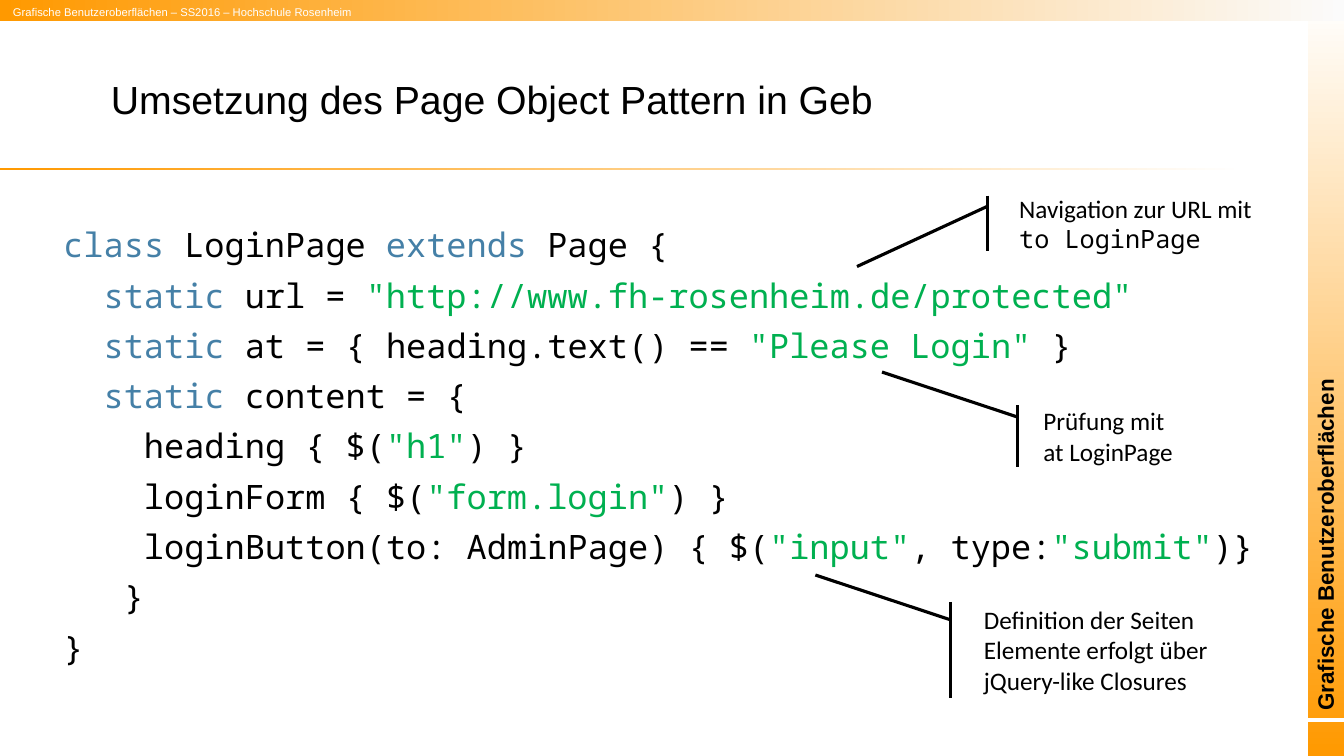
from dataclasses import dataclass

from lxml import etree
from pptx import Presentation
from pptx.dml.color import RGBColor
from pptx.enum.shapes import MSO_CONNECTOR, MSO_SHAPE
from pptx.enum.text import MSO_ANCHOR, MSO_AUTO_SIZE, PP_ALIGN
from pptx.oxml.ns import qn
from pptx.util import Inches, Pt

RECTANGLE = MSO_SHAPE.RECTANGLE
ACCENT_CALLOUT = MSO_SHAPE.LINE_CALLOUT_1_ACCENT_BAR
STRAIGHT = MSO_CONNECTOR.STRAIGHT
LEFT = PP_ALIGN.LEFT
MIDDLE = MSO_ANCHOR.MIDDLE
NO_FIT = MSO_AUTO_SIZE.NONE

SANS, BODY, MONO = "Arial", "Calibri", "Noto Sans Mono"
BLACK, WHITE, ORANGE = "000000", "FFFFFF", "FF9900"
KEYWORD, STRING = "4580A7", "00B050"
CODE_COLUMN = 0.2  # width of one character of code


@dataclass
class GradientBar:
    at: tuple[float, float, float, float]
    start: str
    end: str
    angle: int


@dataclass
class CodeLine:
    column: int
    spans: list[tuple[str, str]]


@dataclass
class Callout:
    at: tuple[float, float, float, float]
    tip: tuple[float, float]  # y and x as shares of height and width
    lines: list[list[tuple[str, str]]]


BARS = [
    GradientBar((12.97, 0, 0.37, 7.5), WHITE, ORANGE, 270),
    GradientBar((0, 0, 13.33, 0.21), ORANGE, "FBFBFB", 0),
    GradientBar((0, 1.67, 12.34, 0.02), ORANGE, WHITE, 0),
]

CODE = [
    CodeLine(0, [("class ", KEYWORD), ("LoginPage ", BLACK),
                 ("extends ", KEYWORD), ("Page {", BLACK)]),
    CodeLine(2, [("static ", KEYWORD), ("url = ", BLACK),
                 ('"http://www.fh-rosenheim.de/protected"', STRING)]),
    CodeLine(2, [("static ", KEYWORD), ("at = { heading.text() == ", BLACK),
                 ('"Please Login"', STRING), (" }", BLACK)]),
    CodeLine(2, [("static ", KEYWORD), ("content = {", BLACK)]),
    CodeLine(4, [("heading { $(", BLACK), ('"h1"', STRING), (") }", BLACK)]),
    CodeLine(4, [("loginForm { $(", BLACK), ('"form.login"', STRING),
                 (") }", BLACK)]),
    CodeLine(4, [("loginButton(to: AdminPage) { $(", BLACK),
                 ('"input"', STRING), (", type:", BLACK),
                 ('"submit"', STRING), (")}", BLACK)]),
    CodeLine(3, [("}", BLACK)]),
    CodeLine(0, [("}", BLACK)]),
]

CALLOUTS = [
    Callout((10.01, 1.94, 2.65, 0.55), (1.28, -0.57),
            [[("Navigation zur URL mit ", BODY), ("to LoginPage", MONO)]]),
    Callout((10.25, 4.02, 2.03, 0.61), (-0.54, -0.74),
            [[("Prüfung mit ", BODY)], [("at LoginPage", BODY)]]),
    Callout((9.66, 5.97, 2.86, 0.95), (-0.28, -0.55),
            [[("Definition der Seiten Elemente erfolgt über "
               "jQuery-like Closures", BODY)]]),
]


def rgb(color: str) -> RGBColor:
    return RGBColor.from_string(color)


def inches(values: tuple) -> list:
    return [Inches(value) for value in values]


def add_span(para, text: str, size: float, font: str, color: str,
             bold: bool = False) -> None:
    span = para.add_run()
    span.text = text
    span.font.size = Pt(size)
    span.font.name = font
    span.font.bold = bold
    span.font.color.rgb = rgb(color)


def add_text_box(page, at: tuple, wrap: bool = True):
    box = page.shapes.add_textbox(*inches(at))
    box.text_frame.word_wrap = wrap
    box.text_frame.auto_size = NO_FIT
    return box


def add_bar(page, bar: GradientBar) -> None:
    shape = page.shapes.add_shape(RECTANGLE, *inches(bar.at))
    shape.shadow.inherit = False
    shape.line.fill.background()
    shape.fill.gradient()
    shape.fill.gradient_angle = bar.angle
    stops = shape.fill.gradient_stops
    for stop, position, color in zip(stops, (0, 1), (bar.start, bar.end)):
        stop.position = position
        stop.color.rgb = rgb(color)


def add_code(page) -> None:
    frame = add_text_box(page, (0.53, 2.22, 12.24, 4.82)).text_frame
    for number, line in enumerate(CODE):
        para = frame.add_paragraph() if number else frame.paragraphs[0]
        para.line_spacing = 0.9
        para.space_before = Pt(10)
        indent = Inches(line.column * CODE_COLUMN)
        para._p.get_or_add_pPr().set("marL", str(indent))
        for text, color in line.spans:
            add_span(para, text, 24, MONO, color)


def add_callout(page, callout: Callout) -> None:
    shape = page.shapes.add_shape(ACCENT_CALLOUT, *inches(callout.at))
    for index, value in enumerate((0.19, -0.08, *callout.tip)):
        shape.adjustments[index] = value
    shape.shadow.inherit = False
    shape.fill.solid()
    shape.fill.fore_color.rgb = rgb(WHITE)
    shape.line.color.rgb = rgb(BLACK)
    shape.line.width = Pt(2.25)
    frame = shape.text_frame
    frame.word_wrap = True
    frame.vertical_anchor = MIDDLE
    para = frame.paragraphs[0]
    para.alignment = LEFT
    for number, line in enumerate(callout.lines):
        if number:
            para.add_line_break()
        for text, font in line:
            add_span(para, text, 18, font, BLACK)


def main() -> None:
    deck = Presentation()
    deck.slide_width, deck.slide_height = Inches(13.33), Inches(7.5)
    page = deck.slides.add_slide(deck.slide_layouts[5])

    # Frame of the page
    for bar in BARS:
        add_bar(page, bar)
    divider = page.shapes.add_connector(
        STRAIGHT, *inches((13.33, 7.14, 12.92, 7.14)))
    divider.line.color.rgb = rgb(WHITE)
    divider.line.width = Pt(3)
    etree.SubElement(divider._element.spPr, qn("a:effectLst"))

    # Course labels
    header = add_text_box(page, (0.03, 0, 10.32, 0.24))
    add_span(header.text_frame.paragraphs[0],
             "Grafische Benutzeroberflächen – SS2016 – Hochschule Rosenheim",
             8, SANS, WHITE)
    side_label = add_text_box(page, (11.38, 5.2, 3.53, 0.37), wrap=False)
    side_label.rotation = 270
    add_span(side_label.text_frame.paragraphs[0],
             "Grafische Benutzeroberflächen", 16, SANS, BLACK, bold=True)

    # Title
    title = page.shapes.title
    title.left, title.top, title.width, title.height = inches(
        (1, 0.36, 11.33, 1.25))
    title.text_frame.vertical_anchor = MIDDLE
    heading = title.text_frame.paragraphs[0]
    heading.alignment = LEFT
    add_span(heading, "Umsetzung des Page Object Pattern in Geb",
             28, SANS, BLACK)

    # Code and its explanations
    add_code(page)
    for callout in CALLOUTS:
        add_callout(page, callout)

    deck.save("out.pptx")


if __name__ == "__main__":
    main()
